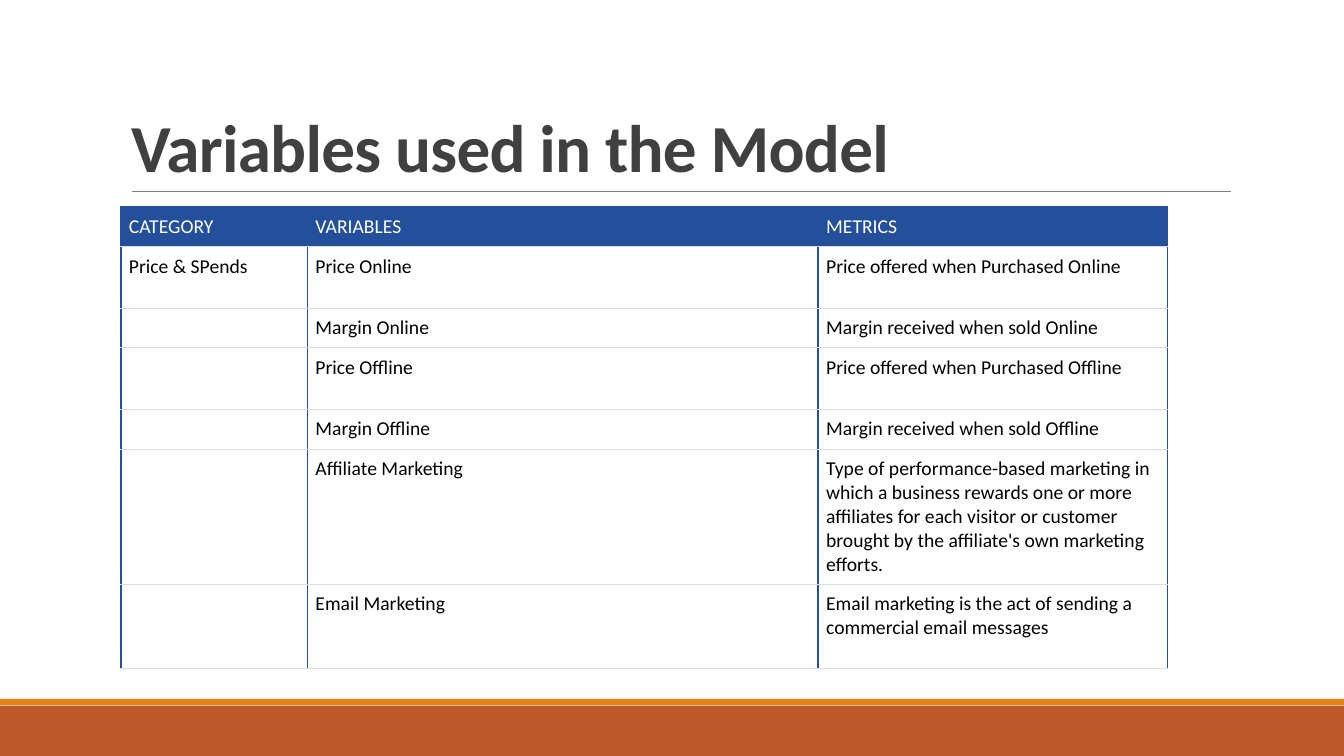
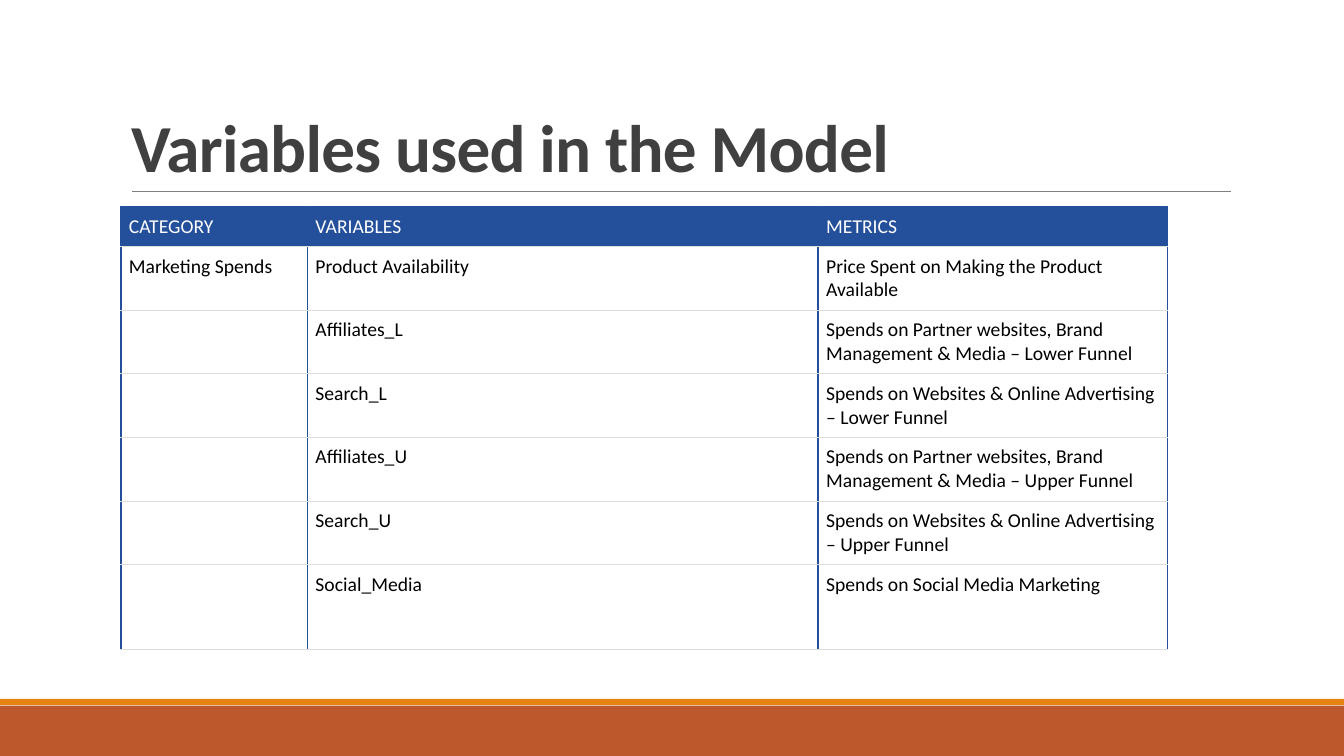
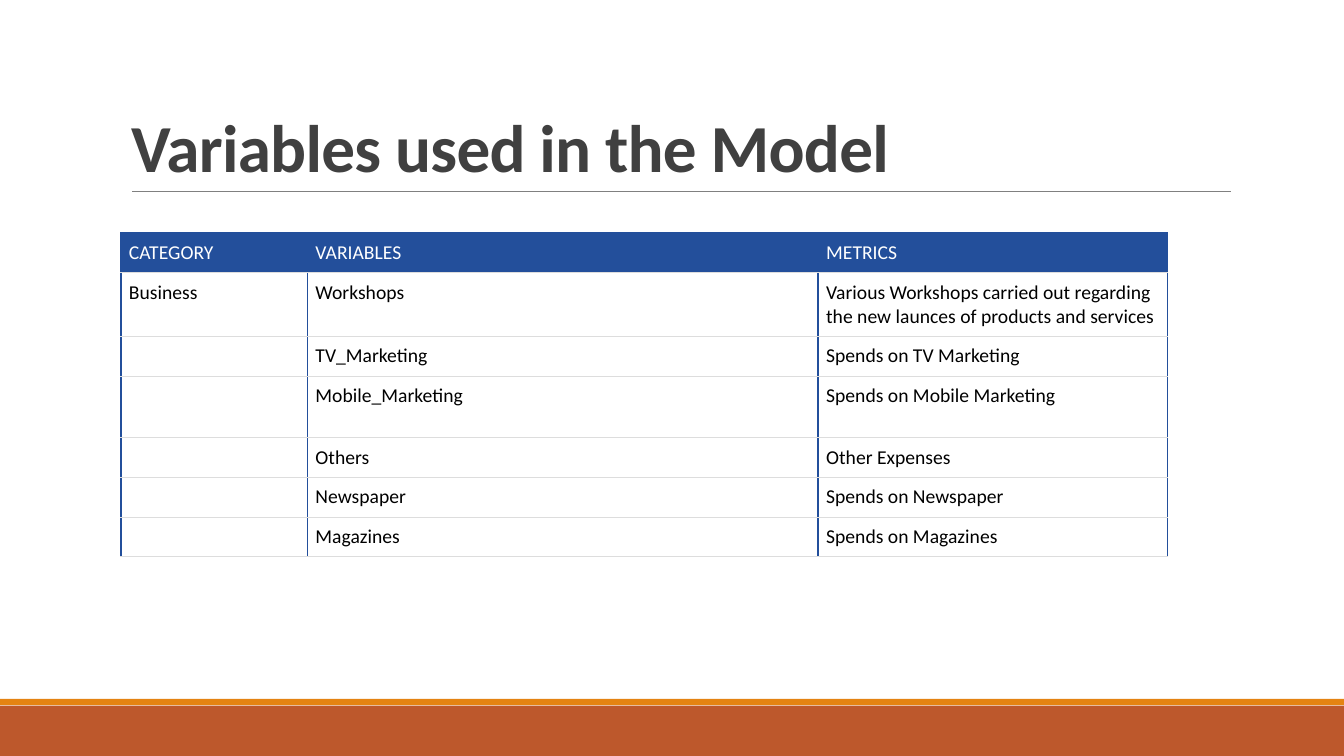
from lxml.etree import SubElement
from pptx import Presentation
from pptx.dml.color import RGBColor
from pptx.enum.shapes import MSO_CONNECTOR, MSO_SHAPE
from pptx.enum.text import MSO_ANCHOR, MSO_AUTO_SIZE, PP_ALIGN
from pptx.oxml.ns import qn
from pptx.util import Cm, Pt

RUST = RGBColor(0xBD, 0x58, 0x2C)
ORANGE = RGBColor(0xE4, 0x83, 0x12)
RULE_GRAY = RGBColor(0x80, 0x80, 0x80)
TITLE_GRAY = RGBColor(0x40, 0x40, 0x40)
BLUE = RGBColor(0x23, 0x4F, 0x9B)
GRID_GRAY = RGBColor(0xDD, 0xDD, 0xDD)
WHITE = RGBColor(0xFF, 0xFF, 0xFF)
BLACK = RGBColor(0, 0, 0)
FONT = "Calibri"

SLIDE_W, SLIDE_H = Cm(33.87), Cm(19.05)
LEFT = Cm(3.05)
COL_WIDTHS = (4.7, 12.87, 8.8)
CELL_MARGIN = Cm(0.2)
BANDS = [(17.78, 1.27, RUST), (17.61, 0.16, ORANGE)]  # top, height, colour

TITLE = "Variables used in the Model"
HEADER = ("CATEGORY", "VARIABLES", "METRICS")
TABLES = [
    {
        "top": 5.21,
        "category": "Price & SPends",
        "heights": (0.97, 1.55, 0.97, 1.55, 0.97, 3.33, 2.13),
        "rows": [
            ("Price Online", "Price offered when Purchased Online"),
            ("Margin Online", "Margin received when sold Online"),
            ("Price Offline", "Price offered when Purchased Offline"),
            ("Margin Offline", "Margin received when sold Offline"),
            ("Affiliate Marketing",
             "Type of performance-based marketing in which a business rewards "
             "one or more affiliates for each visitor or customer brought by "
             "the affiliate's own marketing efforts."),
            ("Email Marketing",
             "Email marketing is the act of sending a commercial email messages"),
        ],
    },
    {
        "top": 5.21,
        "category": "Marketing Spends",
        "heights": (0.97, 1.55, 0.97, 1.55, 0.97, 1.17, 2.13),
        "rows": [
            ("Product Availability", "Price Spent on Making the Product Available"),
            ("Affiliates_L",
             "Spends on Partner websites, Brand Management & Media – Lower Funnel"),
            ("Search_L", "Spends on Websites & Online Advertising – Lower Funnel"),
            ("Affiliates_U",
             "Spends on Partner websites, Brand Management & Media – Upper Funnel"),
            ("Search_U", "Spends on Websites & Online Advertising – Upper Funnel"),
            ("Social_Media", "Spends on Social Media Marketing"),
        ],
    },
    {
        "top": 5.87,
        "category": "Business",
        "heights": (0.97, 1.55, 0.97, 1.55, 0.97, 0.97, 0.97),
        "rows": [
            ("Workshops",
             "Various Workshops carried out regarding the new launces of "
             "products and services"),
            ("TV_Marketing", "Spends on TV Marketing"),
            ("Mobile_Marketing", "Spends on Mobile Marketing"),
            ("Others", "Other Expenses"),
            ("Newspaper", "Spends on Newspaper"),
            ("Magazines", "Spends on Magazines"),
        ],
    },
]


def decorate_layout(layout, s):
    """Draw the bands and title rule on s, then move them to its layout."""
    shapes = []
    for top, height, color in BANDS:
        band = s.shapes.add_shape(MSO_SHAPE.RECTANGLE, 0, Cm(top), SLIDE_W, Cm(height))
        band.shadow.inherit = False
        band.fill.solid()
        band.fill.fore_color.rgb = color
        band.line.fill.background()
        shapes.append(band)
    rule = s.shapes.add_connector(
        MSO_CONNECTOR.STRAIGHT, Cm(3.33), Cm(4.83), Cm(31.01), Cm(4.83))
    rule.line.color.rgb = RULE_GRAY
    rule.line.width = Pt(0.5)
    SubElement(rule._element.spPr, qn("a:effectLst"))
    shapes.append(rule)
    for shape in shapes:
        layout.shapes._spTree.append(shape._element)


def add_title(s):
    title = s.shapes.title
    title.left, title.top, title.width, title.height = LEFT, Cm(0.79), Cm(27.94), Cm(4.04)
    tf = title.text_frame
    tf.text = TITLE
    tf.auto_size = MSO_AUTO_SIZE.NONE
    tf.vertical_anchor = MSO_ANCHOR.BOTTOM
    p = tf.paragraphs[0]
    p.alignment = PP_ALIGN.LEFT
    p.line_spacing = 0.85
    p.font.name, p.font.size, p.font.bold = FONT, Pt(48), True
    p.font.color.rgb = TITLE_GRAY
    p.font._rPr.set("spc", "-50")


def set_borders(cell, top_color, top_width):
    tcPr = cell._tc.get_or_add_tcPr()
    for side, color, width in (("L", BLUE, 1.5), ("R", BLUE, 1.5),
                               ("T", top_color, top_width), ("B", GRID_GRAY, 0.75)):
        ln = SubElement(tcPr, qn(f"a:ln{side}"), w=str(Pt(width)))
        fill = SubElement(ln, qn("a:solidFill"))
        SubElement(fill, qn("a:srgbClr"), val=str(color))


def fill_cell(cell, text, is_header):
    cell.text = text
    cell.margin_left = cell.margin_right = CELL_MARGIN
    cell.margin_top = cell.margin_bottom = CELL_MARGIN
    cell.vertical_anchor = MSO_ANCHOR.BOTTOM if is_header else MSO_ANCHOR.TOP
    p = cell.text_frame.paragraphs[0]
    p.font.name, p.font.size, p.font.bold = FONT, Pt(14), False
    p.font.color.rgb = WHITE if is_header else BLACK
    if not text:
        SubElement(p._p, qn("a:endParaRPr"), sz="1400")
    set_borders(cell, *((BLUE, 1.5) if is_header else (GRID_GRAY, 0.75)))
    cell.fill.solid()
    cell.fill.fore_color.rgb = BLUE if is_header else WHITE


def add_variables_table(s, top, category, heights, rows):
    grid = [HEADER] + [(category if i == 0 else "", *row) for i, row in enumerate(rows)]
    table = s.shapes.add_table(
        len(grid), len(HEADER), LEFT, Cm(top),
        Cm(sum(COL_WIDTHS)), Cm(sum(heights))).table
    table.horz_banding = False
    for column, width in zip(table.columns, COL_WIDTHS):
        column.width = Cm(width)
    for r, (height, texts) in enumerate(zip(heights, grid)):
        table.rows[r].height = Cm(height)
        for c, text in enumerate(texts):
            fill_cell(table.cell(r, c), text, r == 0)


def main():
    prs = Presentation()
    prs.slide_width, prs.slide_height = SLIDE_W, SLIDE_H
    layout = prs.slide_layouts.get_by_name("Title Only")
    for i, content in enumerate(TABLES):
        s = prs.slides.add_slide(layout)
        if i == 0:
            decorate_layout(layout, s)
        add_title(s)
        add_variables_table(s, **content)
    prs.save("out.pptx")


if __name__ == "__main__":
    main()
